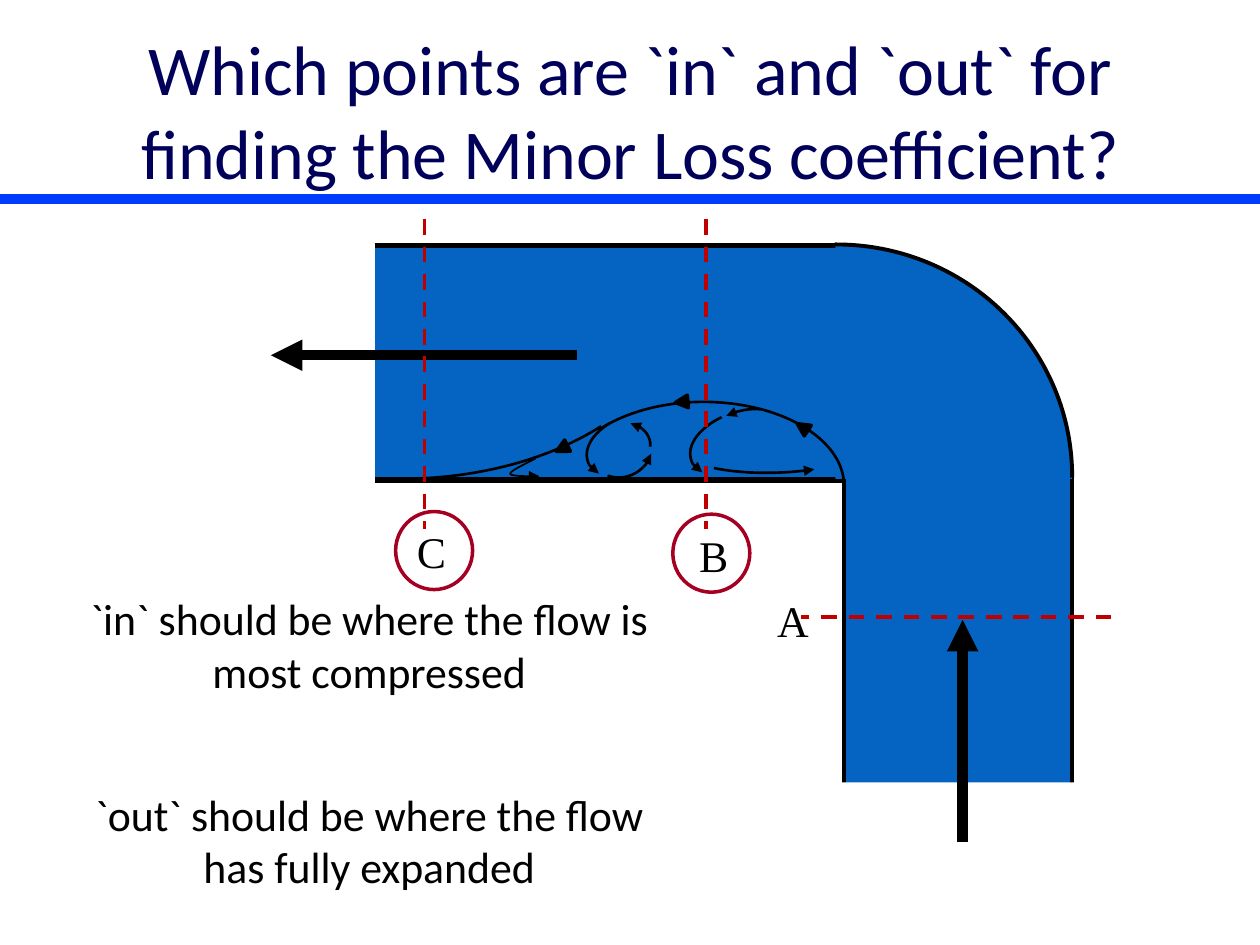
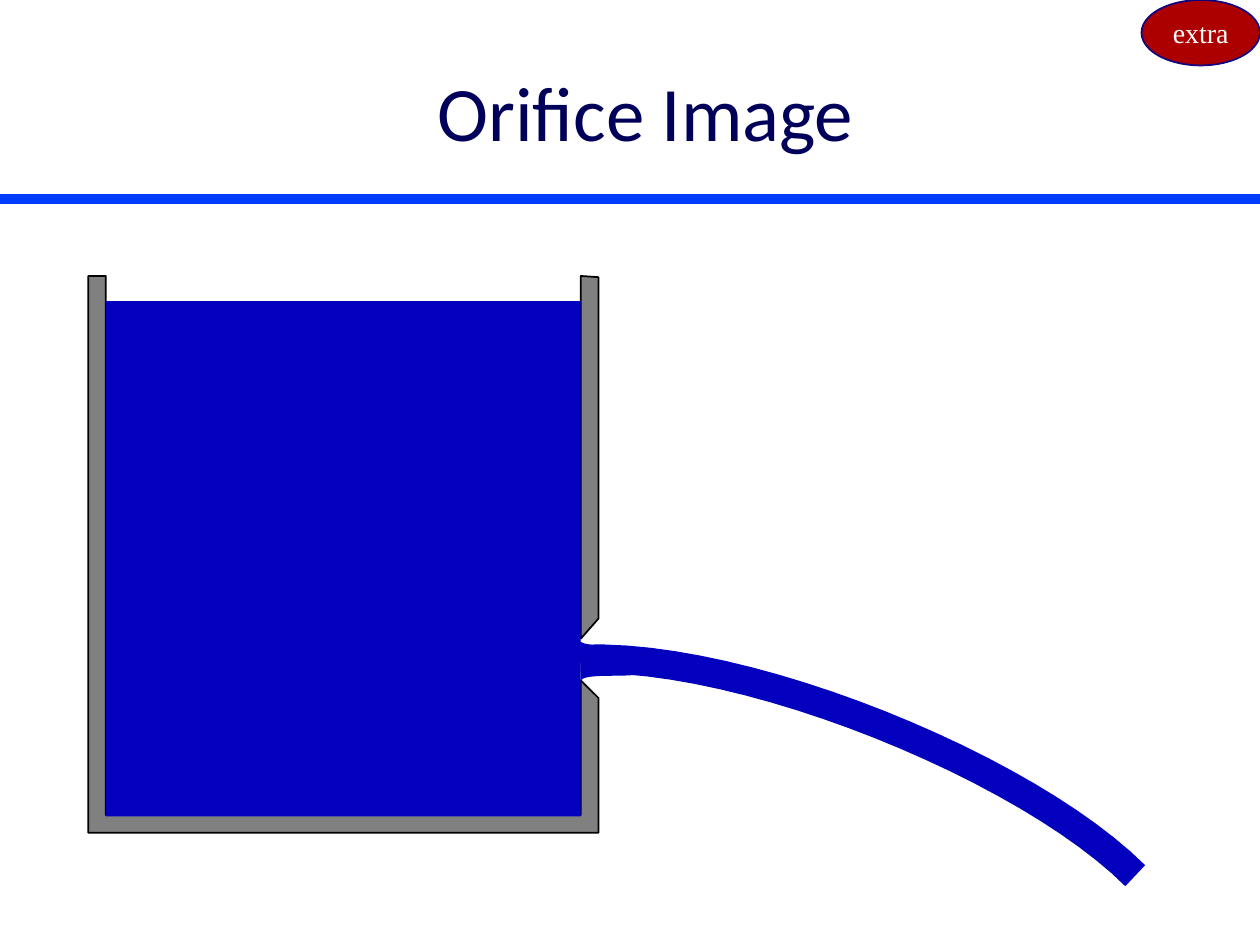
from dataclasses import dataclass
from lxml.etree import SubElement
from pptx import Presentation
from pptx.dml.color import RGBColor as Rgb
from pptx.enum.dml import MSO_LINE as Dash
from pptx.enum.shapes import MSO_CONNECTOR as Connector, MSO_SHAPE as Preset
from pptx.enum.text import MSO_ANCHOR as Anchor, PP_ALIGN as Align
from pptx.oxml.ns import qn
from pptx.util import Pt


@dataclass(frozen=True)
class Theme:
    title: str = "00005A"
    rule: str = "003CFE"
    ink: str = "000000"
    paper: str = "FFFFFF"
    pipe_water: str = "0563C1"
    section: str = "C00000"
    answer_ring: str = "A50021"
    tank_wall: str = "808080"
    tank_water: str = "0300BE"
    badge: str = "AC0000"
    badge_edge: str = "12037F"
    sans: str = "Calibri"
    serif: str = "Times New Roman"
    long_title_size: float = 40
    title_size: float = 44
    body_size: float = 25
    badge_size: float = 16


THEME = Theme()


def apply(target, values):
    for name, value in values.items():
        setattr(target, name, value)


def style_line(line, color, width, dash=None, arrow=False):
    line.color.rgb = Rgb.from_string(color)
    apply(line, {"width": Pt(width), "dash_style": dash})
    if arrow:
        SubElement(line._get_or_add_ln(), qn("a:tailEnd"), type="triangle")


def style_shape(shape, fill=None, edge=None, width=1, arrow=False):
    shape.shadow.inherit = False
    if fill:
        shape.fill.solid()
        shape.fill.fore_color.rgb = Rgb.from_string(fill)
    else:
        shape.fill.background()
    if edge:
        style_line(shape.line, edge, width, arrow=arrow)
    else:
        shape.line.fill.background()
    return shape


def add_preset(slide, preset, box, rotation=0, **style):
    shape = slide.shapes.add_shape(preset, *map(Pt, box))
    shape.rotation = rotation
    return style_shape(shape, **style)


def add_arc(slide, box, angles, rotation=0, flip=False, width=1.5, arrow=False):
    arc = add_preset(slide, Preset.ARC, box, rotation,
                     edge=THEME.ink, width=width, arrow=arrow)
    arc.adjustments[0], arc.adjustments[1] = angles
    if flip:
        arc._element.spPr.xfrm.set("flipH", "1")


def bezier(start, control1, control2, end, steps=24):
    for step in range(1, steps + 1):
        t = step / steps
        weights = ((1 - t) ** 3, 3 * t * (1 - t) ** 2, 3 * t * t * (1 - t), t ** 3)
        yield tuple(sum(w * p[axis] for w, p in zip(weights, (start, control1, control2, end)))
                    for axis in (0, 1))


def add_outline(slide, start, segments, closed=True, **style):
    points = [start]
    for segment in segments:
        if len(segment) == 3:
            points.extend(bezier(points[-1], *segment))
        else:
            points.extend(segment)
    emu = [(Pt(x), Pt(y)) for x, y in points]
    builder = slide.shapes.build_freeform(*emu[0])
    builder.add_line_segments(emu[1:], close=closed)
    return style_shape(builder.convert_to_shape(), **style)


def add_line(slide, start, end, color, width, **style):
    line = slide.shapes.add_connector(Connector.STRAIGHT, *map(Pt, start + end))
    style_line(line.line, color, width, **style)
    SubElement(line._element.spPr, qn("a:effectLst"))


def write(shape, words, font, size, color, align=Align.CENTER, anchor=Anchor.TOP, wrap=True):
    frame = shape.text_frame
    apply(frame, {"word_wrap": wrap, "vertical_anchor": anchor})
    paragraph = frame.paragraphs[0]
    paragraph.alignment = align
    run = paragraph.add_run()
    run.text = words
    apply(run.font, {"name": font, "size": Pt(size)})
    run.font.color.rgb = Rgb.from_string(color)


def add_text(slide, box, *text, **layout):
    write(slide.shapes.add_textbox(*map(Pt, box)), *text, **layout)


def start_slide(deck, title, box, size):
    slide = deck.slides.add_slide(deck.slide_layouts[6])
    add_line(slide, (0, 113.8), (720, 113.8), THEME.rule, 6)
    add_text(slide, box, title, THEME.sans, size, THEME.title, anchor=Anchor.MIDDLE)
    return slide


def draw_pipe(slide):
    add_preset(slide, Preset.RECTANGLE, (482.4, 267.8, 130.3, 182.9),
               fill=THEME.pipe_water, edge=THEME.ink, width=2.25)
    add_preset(slide, Preset.RECTANGLE, (481, 447.1, 135.4, 8.6), fill=THEME.paper)
    add_preset(slide, Preset.RECTANGLE, (277.9, 71.3, 133.9, 272.2), 90,
               fill=THEME.pipe_water, edge=THEME.ink, width=3)
    add_preset(slide, Preset.RECTANGLE, (137.5, 202.3, 139, 13), 90,
               fill=THEME.paper, edge=THEME.paper, width=2)
    add_outline(slide, (477.4, 139.7),
                [[(552.2, 139.7), (612.7, 199.4), (612.7, 273.6)], [(477.4, 273.6)]],
                fill=THEME.pipe_water)
    add_arc(slide, (343.4, 139.7, 269.3, 265), (161.76, 0.19), width=2.25)


def draw_separation(slide):
    add_arc(slide, (321.8, 229.7, 160.6, 95.8), (124.55, 0))
    add_arc(slide, (68.4, 72.7, 321.1, 200.9), (126.95, 161.22), 180)
    eddies = [
        ((408.2, 226.1, 37.4, 54), (86.04, 121.77), 255.3),
        ((409, 218.2, 38.9, 69.8), (127.71, 172.34), 255.3),
        ((427.7, 188.6, 38.9, 123.8), (174.17, 25.52), 266.9),
        ((349.9, 218.9, 38.9, 69.8), (136.02, 172.34), 255.3),
        ((334.1, 234, 38.9, 38.9), (195.79, 34.71), 255.3),
        ((337.7, 236.9, 29.5, 38.9), (47.21, 82.07), 255.3),
    ]
    for box, angles, rotation in eddies:
        add_arc(slide, box, angles, rotation, flip=True, arrow=True)
    add_outline(slide, (306, 262.1),
                [[(298.8, 265.7), (291.6, 269.3), (291.6, 270.7)],
                 [(291.6, 272.2), (300.2, 272.2), (308.2, 272.2)]],
                closed=False, edge=THEME.ink, width=1, arrow=True)
    for left, top, rotation in ((455, 240.5, 303.6), (385.9, 226.1, 264.8), (317.5, 252.7, 242.4)):
        add_preset(slide, Preset.ISOSCELES_TRIANGLE, (left, top, 7.2, 7.2), rotation,
                   fill=THEME.ink, edge=THEME.ink, width=2)


def draw_sections(slide):
    for start, end in (((550.1, 481), (550.1, 354.2)), ((329.8, 203), (154.8, 203))):
        add_line(slide, start, end, THEME.ink, 6, arrow=True)
    for letter, left, top in (("B", 392.4, 298.8), ("A", 437, 335.5), ("C", 231.1, 296.6)):
        add_text(slide, (left, top, 25, 29.5), letter, THEME.serif, THEME.body_size,
                 THEME.ink, align=Align.LEFT, wrap=False)
    sections = [((x, 125.3), (x, 302.4)) for x in (242.6, 403.2)]
    for start, end in sections + [((635, 352.8), (457.9, 352.8))]:
        add_line(slide, start, end, THEME.section, 2.25, dash=Dash.DASH)


def build_minor_loss(deck):
    slide = start_slide(deck, "Which points are `in` and `out` for finding the Minor Loss coefficient?",
                        (41.8, 17.3, 636.5, 90), THEME.long_title_size)
    answers = (("`in` should be where the flow is most compressed", 334.8),
               ("`out` should be where the flow has fully expanded", 446.4))
    for answer, top in answers:
        add_text(slide, (28, top, 365.8, 67.7), answer, THEME.sans, THEME.body_size, THEME.ink)
    for left, top in ((384.5, 293.8), (226.1, 292.3)):
        add_preset(slide, Preset.OVAL, (left, top, 44, 44.6), edge=THEME.answer_ring, width=2)
    draw_pipe(slide)
    draw_separation(slide)
    draw_sections(slide)


def build_orifice(deck):
    slide = start_slide(deck, "Orifice Image", (36, 18, 666, 90), THEME.title_size)
    outer_left, inner_left, inner_right, outer_right = 50.4, 60.5, 331.9, 342
    rim, floor, base = 157.7, 465.8, 475.9
    wall = {"fill": THEME.tank_wall, "edge": THEME.ink, "width": 1}
    add_outline(slide, (outer_left, rim),
                [[(outer_left, base)], [(outer_right, base)], [(outer_right, 398.9)],
                 [(inner_right, 388.8)], [(inner_right, floor)],
                 [(inner_left, floor)], [(inner_left, rim)]], **wall)
    add_outline(slide, (inner_right, rim),
                [[(inner_right, 365)], [(outer_right, 353.5)], [(outer_right, 158.4)]], **wall)
    add_preset(slide, Preset.RECTANGLE, (inner_left, 172.1, inner_right - inner_left, 294.5),
               fill=THEME.tank_water)
    add_outline(slide, (331.2, 365.8),
                [[(331.9, 369.4), (349.9, 369.4), (360.7, 369.4)],
                 [(361.4, 377.3), (361.4, 380.2), (360.7, 385.9)],
                 [(349.9, 386.6), (331.9, 385.2), (331.9, 389.5)]], fill=THEME.tank_water)
    add_outline(slide, (332.6, 376.6), [[(427, 373), (587.5, 439.2), (648.7, 500.4)]],
                closed=False, edge=THEME.tank_water, width=16.5)
    extra = add_preset(slide, Preset.OVAL, (652.3, 0, 67.7, 37.4),
                       fill=THEME.badge, edge=THEME.badge_edge, width=1)
    write(extra, "extra", THEME.serif, THEME.badge_size, THEME.paper,
          anchor=Anchor.MIDDLE, wrap=False)


def main():
    deck = Presentation()
    apply(deck, {"slide_width": Pt(720), "slide_height": Pt(540)})
    build_minor_loss(deck)
    build_orifice(deck)
    deck.save("out.pptx")


if __name__ == "__main__":
    main()
